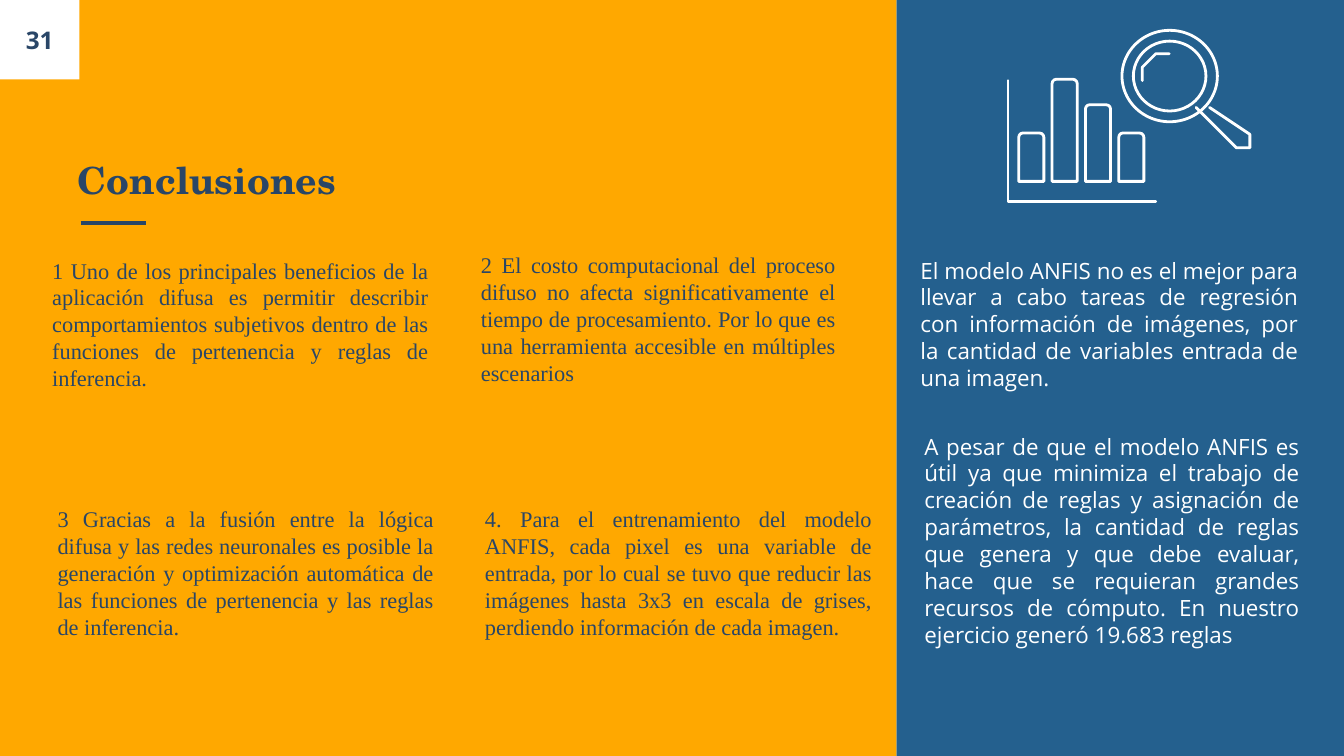
from dataclasses import dataclass
from math import cos, pi, sin

from lxml.etree import SubElement
from pptx import Presentation
from pptx.dml.color import RGBColor
from pptx.enum.shapes import MSO_CONNECTOR, MSO_SHAPE
from pptx.enum.text import MSO_ANCHOR, PP_ALIGN
from pptx.oxml.ns import qn
from pptx.util import Inches, Pt

WIDTH = Inches(10)
HEIGHT = WIDTH * 9 // 16
CELL = WIDTH // 100
ROWS = HEIGHT / CELL
SPLIT = 66.7


@dataclass(frozen=True)
class Theme:
    amber: RGBColor = RGBColor(0xFF, 0xA8, 0x00)
    blue: RGBColor = RGBColor(0x00, 0x46, 0x7C)
    navy: RGBColor = RGBColor(0x29, 0x46, 0x67)
    white: RGBColor = RGBColor(0xFF, 0xFF, 0xFF)
    heading_font: str = "TeX Gyre Schola"
    serif: str = "Times New Roman"
    sans: str = "Open Sans"
    heading_size: Pt = Pt(20)
    number_size: Pt = Pt(13)
    body_size: Pt = Pt(12)
    body_leading: Pt = Pt(14.4)
    icon_stroke: Pt = Pt(1.5)
    rule_stroke: Pt = Pt(2.25)


THEME = Theme()

CONCLUSIONS = [
    ((2.9, 18.1, 30, 14.9),
     "1 Uno de los principales beneficios de la aplicación difusa es permitir "
     "describir comportamientos subjetivos dentro de las funciones de "
     "pertenencia y reglas de inferencia."),
    ((34.8, 17.7, 28.4, 11.7),
     "2 El costo computacional del proceso difuso no afecta significativamente "
     "el tiempo de procesamiento. Por lo que es una herramienta accesible en "
     "múltiples escenarios"),
    ((3.3, 36.6, 30, 11.4),
     "3 Gracias a la fusión entre la lógica difusa y las redes neuronales es "
     "posible la generación y optimización automática de las funciones de "
     "pertenencia y las reglas de inferencia."),
    ((35.1, 36.6, 30.8, 16.9),
     "4. Para el entrenamiento del modelo ANFIS, cada pixel es una variable de "
     "entrada, por lo cual se tuvo que reducir las imágenes hasta 3x3 en escala "
     "de grises, perdiendo información de cada imagen."),
]

MODEL_REMARKS = [
    ((67.5, 18.1, 30.1, 13.3), 0,
     "El modelo ANFIS no es el mejor para llevar a cabo tareas de regresión con "
     "información de imágenes, por la cantidad de variables entrada de una "
     "imagen."),
    ((66.3, 31.2, 31.4, 11.7), 1.5,
     "A pesar de que el modelo ANFIS es útil ya que minimiza el trabajo de "
     "creación de reglas y asignación de parámetros, la cantidad de reglas que "
     "genera y que debe evaluar, hace que se requieran grandes recursos de "
     "cómputo. En nuestro ejercicio generó 19.683 reglas"),
]


def cells(*values):
    return [round(value * CELL) for value in values]


def apply_formats(target, formats):
    for name, value in formats.items():
        setattr(target, name, value)


def add_panel(slide, area, color, opacity=100):
    panel = slide.shapes.add_shape(MSO_SHAPE.RECTANGLE, *cells(*area))
    panel.shadow.inherit = False
    panel.fill.solid()
    panel.fill.fore_color.rgb = color
    panel.line.fill.background()
    if opacity < 100:
        tint = panel.fill._xPr.find(qn("a:solidFill"))[0]
        SubElement(tint, qn("a:alpha"), val=str(opacity * 1000))
    return panel


def write_text(holder, text, color, font, paragraph=None, frame=None):
    margins = dict.fromkeys(
        ("margin_left", "margin_top", "margin_right", "margin_bottom"), CELL)
    apply_formats(holder.text_frame,
                  {**margins, "word_wrap": True, **(frame or {})})
    line = holder.text_frame.paragraphs[0]
    line.text = text
    apply_formats(line, paragraph or {})
    apply_formats(line.font, font)
    line.font.color.rgb = color
    return line


def add_body(slide, area, text, color, family, indent=0):
    box = slide.shapes.add_textbox(*cells(*area))
    line = write_text(
        box, text, color, {"name": family, "size": THEME.body_size},
        {"alignment": PP_ALIGN.JUSTIFY, "line_spacing": THEME.body_leading})
    if indent:
        line._p.get_or_add_pPr().set("marL", str(cells(indent)[0]))


def add_rule(slide, left, right, row):
    rule = slide.shapes.add_connector(
        MSO_CONNECTOR.STRAIGHT, *cells(left, row, right, row))
    rule.line.color.rgb = THEME.navy
    rule.line.width = THEME.rule_stroke
    SubElement(rule._element.spPr, qn("a:effectLst"))


def draw_outline(shape):
    shape.shadow.inherit = False
    shape.fill.background()
    shape.line.color.rgb = THEME.white
    shape.line.width = THEME.icon_stroke
    stroke = shape.line._get_or_add_ln()
    stroke.set("cap", "rnd")
    SubElement(stroke, qn("a:round"))


def add_stroke(icon, points):
    builder = icon.shapes.build_freeform(*points[0], scale=CELL)
    builder.add_line_segments(points[1:], close=False)
    draw_outline(builder.convert_to_shape())


def arc_points(center, radii, start, end, steps=8):
    angles = [start + (end - start) * step / steps for step in range(steps + 1)]
    return [(center[0] + radii[0] * cos(angle), center[1] + radii[1] * sin(angle))
            for angle in angles]


def add_bar_icon(slide):
    icon = slide.shapes.add_group_shape()
    corner = arc_points((75.2, 14.3), (0.3, 0.3), pi, pi / 2)
    add_stroke(icon, [(74.9, 5.9), *corner, (85.5, 14.6)])
    base, pitch, bar_width = 13.5, 2.48, 1.87
    for index, bar_height in enumerate((3.6, 7.6, 5.7, 3.6)):
        bar = icon.shapes.add_shape(
            MSO_SHAPE.ROUND_2_SAME_RECTANGLE,
            *cells(75.8 + index * pitch, base - bar_height, bar_width, bar_height))
        bar.adjustments[0] = 0.17
        draw_outline(bar)


def add_lens_icon(slide):
    icon = slide.shapes.add_group_shape()
    x, y = center = (87.03, 5.66)
    for rx, ry in ((3.55, 3.4), (2.7, 2.6)):
        lens = icon.shapes.add_shape(
            MSO_SHAPE.OVAL, *cells(x - rx, y - ry, 2 * rx, 2 * ry))
        draw_outline(lens)
    add_stroke(icon, arc_points(center, (1.9, 1.83), pi, 1.5 * pi))
    tip = arc_points((92.2, 10.8), (0.47, 0.45), 0.75 * pi, 0.25 * pi)
    end = arc_points((92.2, 10.8), (0.5, 0.45), 0.25 * pi, -0.25 * pi)
    add_stroke(icon, [(89.2, 8.5), *tip, *end, (89.8, 7.9)])


def main():
    deck = Presentation()
    deck.slide_width, deck.slide_height = WIDTH, HEIGHT
    slide = deck.slides.add_slide(deck.slide_layouts[6])

    add_panel(slide, (SPLIT, 0, 100 - SPLIT, ROWS), THEME.blue, opacity=86)
    add_panel(slide, (0, 0, SPLIT, ROWS), THEME.amber)
    page_number = add_panel(slide, (0, 0, 5.9, 5.9), THEME.white)
    write_text(page_number, "31", THEME.navy,
               {"name": THEME.sans, "size": THEME.number_size, "bold": True},
               {"alignment": PP_ALIGN.CENTER},
               {"vertical_anchor": MSO_ANCHOR.MIDDLE})

    add_rule(slide, 6, 10.9, 16.6)
    heading = slide.shapes.add_textbox(*cells(4.8, 8.7, 57.1, 7.3))
    write_text(heading, "Conclusiones", THEME.navy,
               {"name": THEME.heading_font, "size": THEME.heading_size,
                "bold": True},
               frame={"vertical_anchor": MSO_ANCHOR.BOTTOM})

    for area, conclusion in CONCLUSIONS:
        add_body(slide, area, conclusion, THEME.navy, THEME.serif)
    add_bar_icon(slide)
    add_lens_icon(slide)
    for area, indent, remark in MODEL_REMARKS:
        add_body(slide, area, remark, THEME.white, THEME.sans, indent)

    deck.save("out.pptx")


if __name__ == "__main__":
    main()
